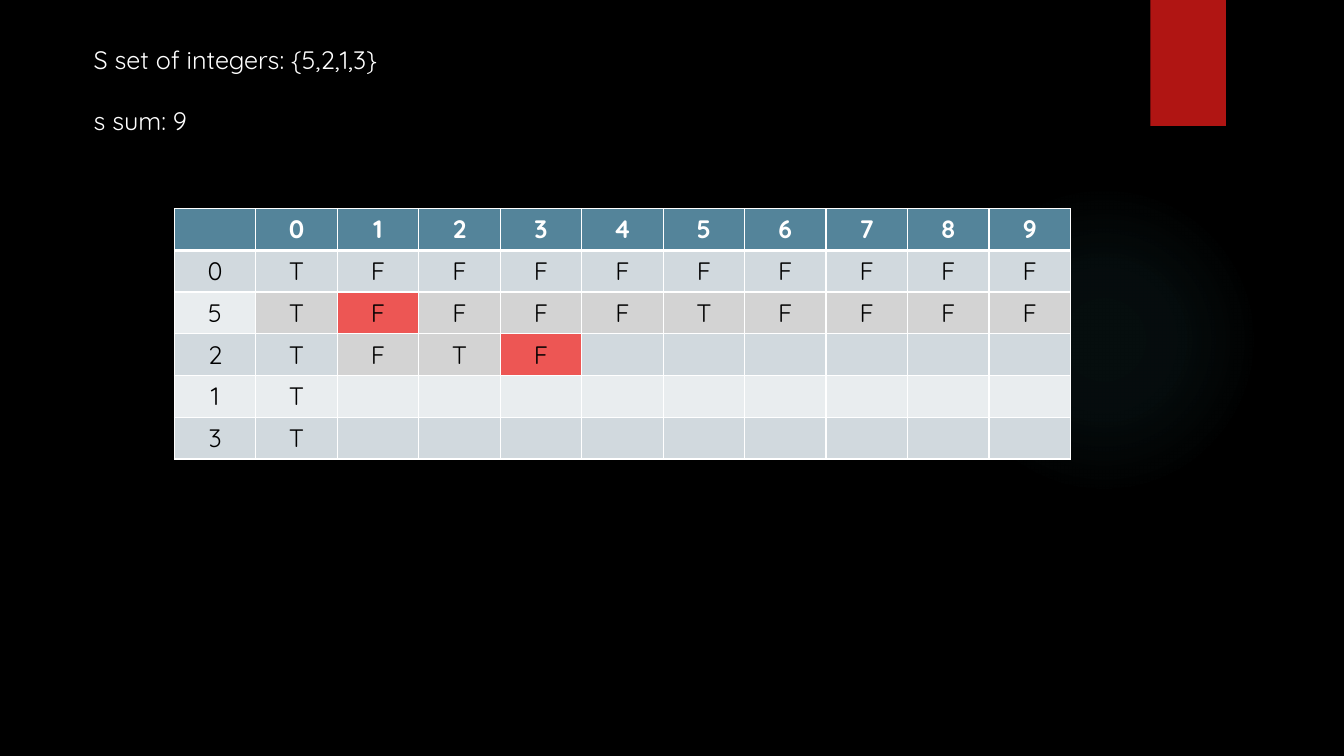
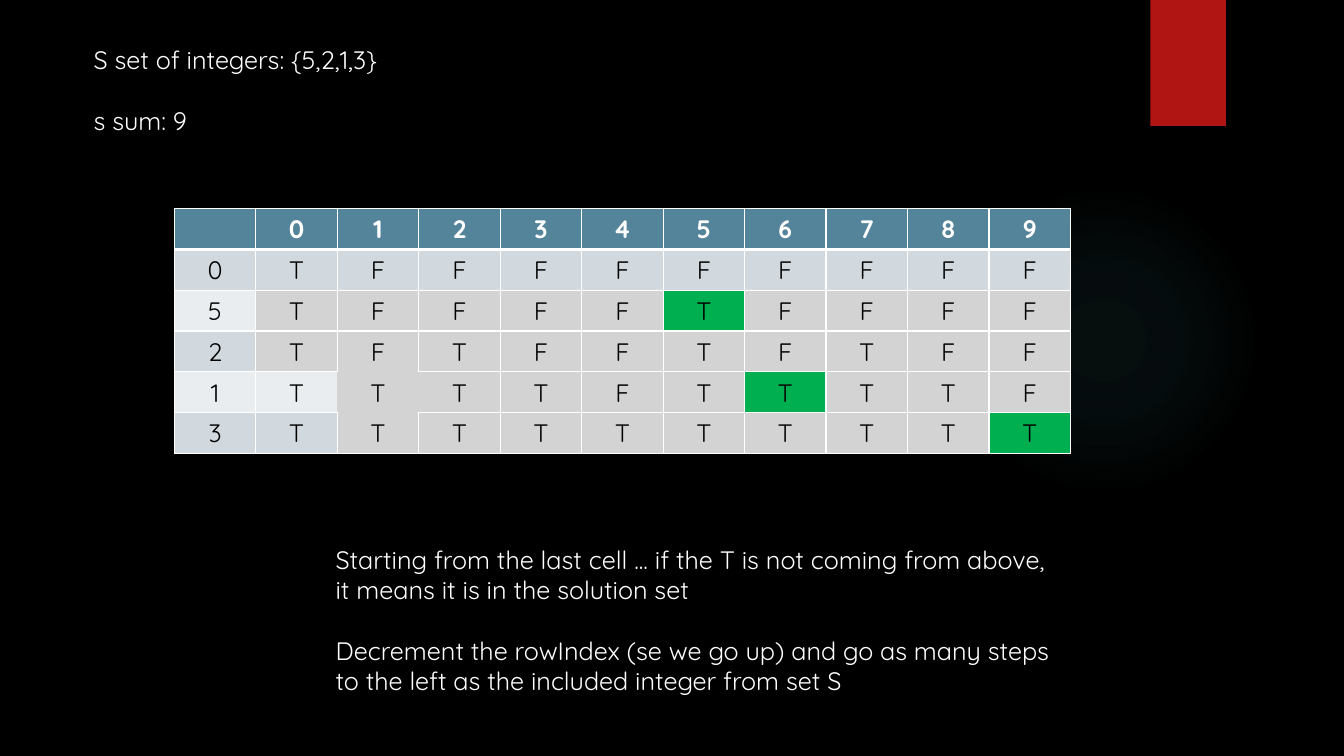
"""Build two slides that trace the subset-sum table for {5,2,1,3} and 9."""
from dataclasses import dataclass

from pptx import Presentation
from pptx import oxml
from pptx import slide as sl
from pptx import table as tb
from pptx import util as u
from pptx.dml.color import RGBColor
from pptx.enum import shapes, text
from pptx.oxml import ns

BLACK = RGBColor(0x00, 0x00, 0x00)
WHITE = RGBColor(0xFF, 0xFF, 0xFF)
TAB_RED = RGBColor(0xB0, 0x15, 0x13)
GLOW = RGBColor(0x50, 0xB9, 0xC1)
HEADER = RGBColor(0x54, 0x84, 0x9A)
BANDS = (RGBColor(0xE9, 0xED, 0xEF), RGBColor(0xD1, 0xD9, 0xDE))
COMPUTED = RGBColor(0xD3, 0xD3, 0xD3)
RED = RGBColor(0xED, 0x56, 0x54)
GREEN = RGBColor(0x00, 0xB0, 0x50)

BODY = {"name": "Quicksand", "size": u.Pt(18), "bold": False}
GLOW_STOPS = ((0, 7), (36, 6), (69, 0))
EDGES = {"L": (0, -1), "R": (0, 1), "T": (-1, 0), "B": (1, 0)}
LABELS = ("0", "5", "2", "1", "3")
SUMS = "0123456789"
NO_GREY = len(SUMS) + 1


@dataclass(frozen=True)
class Note:
    """A text box whose paragraphs each hold a group of lines."""

    left: float
    top: float
    width: float
    height: float
    groups: tuple[tuple[str, ...], ...]


@dataclass(frozen=True)
class Step:
    """One state of the table, with marked cells as (row, column)."""

    rows: tuple[str, ...]
    grey_from: tuple[int, ...]
    marks: tuple[tuple[int, int], ...]
    mark_color: RGBColor
    notes: tuple[Note, ...]
    borderless: tuple[int, int] | None = None


PROBLEM = Note(0.83, 0.39, 3.19, 1.01, (("S set of integers: {5,2,1,3}",), ("s sum: 9",)))
EXPLANATION = Note(3.23, 5.35, 7.87, 1.62, (
    ("Starting from the last cell ... if the T is not coming from above,",
     "it means it is in the solution set"),
    ("Decrement the rowIndex (se we go up) and go as many steps",
     "to the left as the included integer from set S"),
))
STEPS = (
    Step(("TFFFFFFFFF", "TFFFFTFFFF", "TFTF", "T", "T"), (NO_GREY, 1, 2, 2, 2),
         ((2, 2), (3, 4)), RED, (PROBLEM,)),
    Step(("TFFFFFFFFF", "TFFFFTFFFF", "TFTFFTFTFF", "TTTTFTTTTF", "TTTTTTTTTT"),
         (NO_GREY, 1, 1, 2, 2), ((2, 6), (4, 7), (5, 10)), GREEN,
         (PROBLEM, EXPLANATION), (4, 2)),
)


def style_font(font: text, color: RGBColor, **extra: object) -> None:
    """Apply the body format, a colour and any overrides to a font."""
    for name, value in {**BODY, **extra}.items():
        setattr(font, name, value)
    font.color.rgb = color


def decorate_layout(layout: sl.SlideLayout, s: sl.Slide) -> None:
    """Give the layout its black background, glow and red tab."""
    layout.background.fill.solid()
    layout.background.fill.fore_color.rgb = BLACK
    for ph in list(layout.placeholders):
        layout.shapes.element.remove(ph.element)
    glow = s.shapes.add_shape(shapes.MSO_SHAPE.OVAL, u.Inches(9.41), u.Inches(1.83),
                              u.Inches(3.08), u.Inches(3.08))
    tab = s.shapes.add_shape(shapes.MSO_SHAPE.RECTANGLE, u.Inches(11.41), 0,
                             u.Inches(0.75), u.Inches(1.25))
    tab.fill.solid()
    tab.fill.fore_color.rgb = TAB_RED
    glow.fill.background()
    stops = "".join(
        f'<a:gs pos="{pos * 1000}"><a:srgbClr val="{GLOW}">'
        f'<a:alpha val="{alpha * 1000}"/></a:srgbClr></a:gs>'
        for pos, alpha in GLOW_STOPS)
    gradient = oxml.parse_xml(
        f'<a:gradFill {ns.nsdecls("a")} rotWithShape="1"><a:gsLst>{stops}</a:gsLst>'
        '<a:path path="circle"><a:fillToRect l="50000" t="50000" r="50000" b="50000"/>'
        '</a:path></a:gradFill>')
    props = glow.element.spPr
    props.replace(props.find(ns.qn("a:noFill")), gradient)
    for sp in (glow, tab):
        sp.line.fill.background()
        sp.shadow.inherit = False
        layout.shapes.element.append(sp.element)


def add_note(s: sl.Slide, note: Note) -> None:
    """Draw a text box with a line of space between its groups."""
    sp = s.shapes.add_textbox(*map(u.Inches, (note.left, note.top, note.width, note.height)))
    tf = sp.text_frame
    tf.word_wrap = True
    p = tf.paragraphs[0]
    for i, group in enumerate(note.groups):
        for j, line in enumerate(group):
            if i or j:
                p = tf.add_paragraph()
            if i and not j:
                p.space_before = u.Pt(22)
            r = p.add_run()
            r.text = line
            style_font(r.font, WHITE)


def add_borders(cell: tb._Cell, row: int, col: int, borderless: tuple[int, int] | None) -> None:
    """Draw white cell edges, leaving out those of the borderless cell."""
    props = cell._tc.get_or_add_tcPr()
    for side, (down, across) in EDGES.items():
        hidden = borderless in ((row, col), (row + down, col + across))
        width = u.Pt(3 if row == 0 and side == "B" else 1)
        fill = ("<a:noFill/>" if hidden else
                f'<a:solidFill><a:srgbClr val="{WHITE}"/></a:solidFill>')
        props.append(oxml.parse_xml(
            f'<a:ln{side} {ns.nsdecls("a")} w="{width}">{fill}</a:ln{side}>'))


def cell_fill(step: Step, row: int, col: int, value: str) -> RGBColor:
    """Choose the fill of a cell from its place and state."""
    if row == 0:
        return HEADER
    if (row, col) in step.marks:
        return step.mark_color
    if value and col >= step.grey_from[row - 1]:
        return COMPUTED
    return BANDS[row % 2]


def add_sum_table(s: sl.Slide, step: Step) -> None:
    """Draw the table of reachable sums."""
    grid = [["", *SUMS]]
    grid += [[label, *values] for label, values in zip(LABELS, step.rows)]
    table = s.shapes.add_table(len(grid), len(grid[0]), u.Inches(1.73), u.Inches(2.07),
                               u.Inches(8.89), u.Inches(2.43)).table
    for row, values in enumerate(grid):
        for col in range(len(grid[0])):
            value = values[col] if col < len(values) else ""
            cell = table.cell(row, col)
            add_borders(cell, row, col, step.borderless)
            cell.fill.solid()
            cell.fill.fore_color.rgb = cell_fill(step, row, col, value)
            p = cell.text_frame.paragraphs[0]
            p.alignment = text.PP_ALIGN.CENTER
            if value:
                r = p.add_run()
                r.text = value
                style_font(r.font, BLACK if row else WHITE, bold=row == 0)


def main() -> None:
    """Build and save the presentation."""
    prs = Presentation()
    prs.slide_width, prs.slide_height = u.Inches(13.33), u.Inches(7.5)
    layout = prs.slide_layouts[6]
    slides = [prs.slides.add_slide(layout) for _ in STEPS]
    decorate_layout(layout, slides[0])
    for s, step in zip(slides, STEPS):
        add_sum_table(s, step)
        for note in step.notes:
            add_note(s, note)
    prs.save("out.pptx")


if __name__ == "__main__":
    main()
